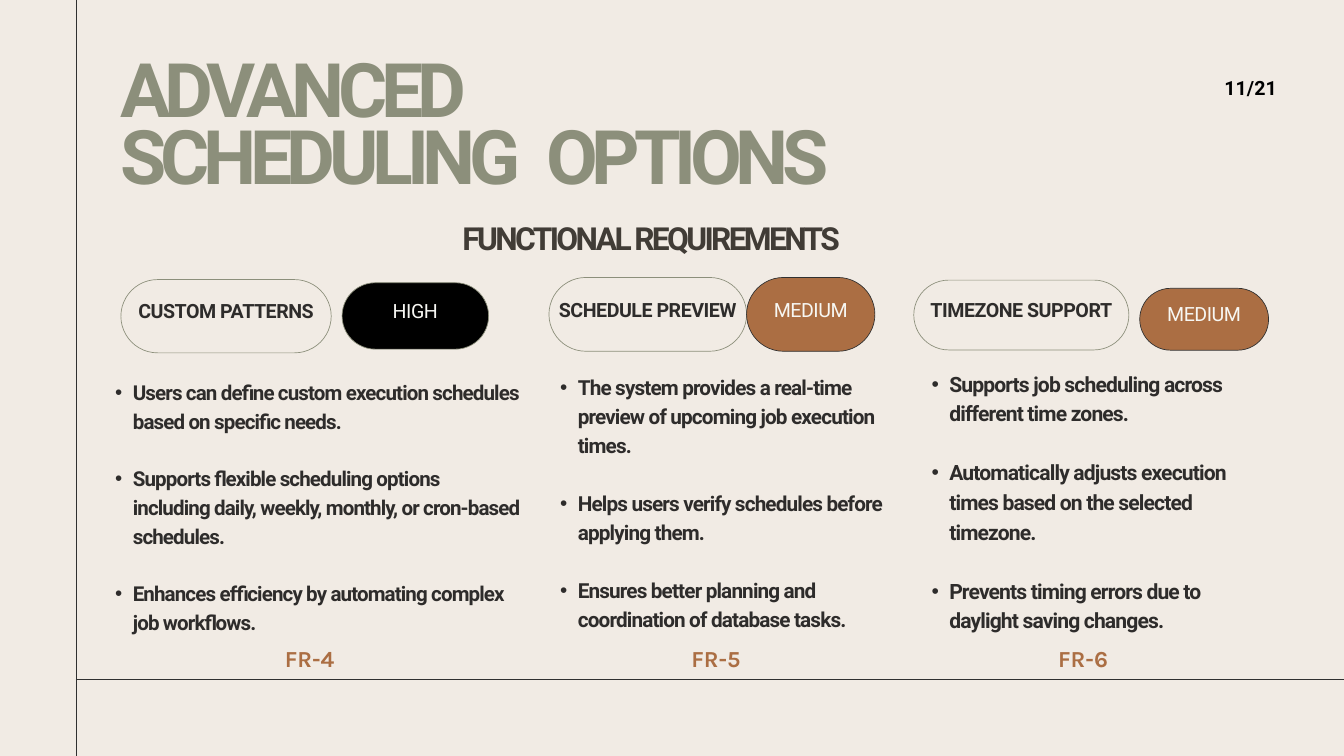
import pptx
import pptx.dml.color
import pptx.enum.shapes
import pptx.enum.text
import pptx.util
from lxml import etree
from pptx.oxml.ns import qn

Cm = pptx.util.Cm
Pt = pptx.util.Pt
ALIGN = pptx.enum.text.PP_ALIGN
ANCHOR = pptx.enum.text.MSO_ANCHOR

WIDTH, HEIGHT = 50.8, 28.58
CREAM, SAGE, GRAPHITE, INK = "F1EBE4", "8C8F7B", "303030", "2E2C2B"
BROWN, BLACK, OFF_WHITE, SUBTITLE = "AB6E43", "000000", "F7F7F3", "413C36"

REQUIREMENTS = [
    {
        "code": "FR-4", "code_left": 10.72,
        "name": "CUSTOM PATTERNS", "name_box": (4.57, 10.57, 7.95, 2.77),
        "priority": "HIGH", "priority_box": (12.93, 10.69, 5.54, 2.51),
        "priority_fill": BLACK, "priority_line": SAGE,
        "list_box": (3.68, 14.2, 15.98, 10.64), "size": 22, "line_spacing": 30.8,
        "items": [
            "Users can define custom execution schedules based on specific needs.",
            "Supports flexible scheduling options including daily, weekly, monthly, or cron-based schedules.",
            "Enhances efficiency by automating complex job workflows.",
        ],
    },
    {
        "code": "FR-5", "code_left": 26.08,
        "name": "SCHEDULE PREVIEW", "name_box": (20.75, 10.49, 7.47, 2.79),
        "priority": "MEDIUM", "priority_box": (28.22, 10.49, 4.85, 2.79),
        "priority_fill": BROWN, "priority_line": GRAPHITE,
        "list_box": (20.5, 14, 13.11, 11.89), "size": 22.2, "line_spacing": 31.1,
        "items": [
            "The system provides a real-time preview of upcoming job execution times.",
            "Helps users verify schedules before applying them.",
            "Ensures better planning and coordination of database tasks.",
        ],
    },
    {
        "code": "FR-6", "code_left": 39.96,
        "name": "TIMEZONE SUPPORT", "name_box": (34.54, 10.59, 8.13, 2.64),
        "priority": "MEDIUM", "priority_box": (43.08, 10.9, 4.87, 2.34),
        "priority_fill": BROWN, "priority_line": GRAPHITE,
        "list_box": (34.54, 13.87, 13.39, 11.02), "size": 22.6, "line_spacing": 31.7,
        "items": [
            "Supports job scheduling across different time zones.",
            "Automatically adjusts execution times based on the selected timezone.",
            "Prevents timing errors due to daylight saving changes.",
        ],
    },
]


def color(hex_value):
    return pptx.dml.color.RGBColor.from_string(hex_value)


def write_text(shape, *texts, size, fill, line_spacing, bold=True, font="Roboto",
               align=ALIGN.LEFT, anchor=ANCHOR.TOP, spacing=0, word_spacing=None,
               gap=0, bullet=False, wrap=True, bottom=0):
    frame = shape.text_frame
    frame.auto_size = pptx.enum.text.MSO_AUTO_SIZE.NONE
    frame.word_wrap = wrap
    frame.vertical_anchor = anchor
    frame.margin_left = frame.margin_top = frame.margin_right = 0
    frame.margin_bottom = Cm(bottom)
    for index, text in enumerate(texts):
        paragraph = frame.add_paragraph() if index else frame.paragraphs[0]
        paragraph.alignment = align
        paragraph.line_spacing = Pt(line_spacing)
        paragraph.space_before = Pt(gap if index else 0)
        paragraph.space_after = Pt(0)
        if bullet:
            properties = paragraph._p.get_or_add_pPr()
            properties.set("marL", str(Cm(1.34)))
            properties.set("indent", str(Cm(-0.67)))
            etree.SubElement(properties, qn("a:buChar")).set("char", "•")
        pieces = (text,) if word_spacing is None else text.partition(" ")
        for piece in filter(None, pieces):
            run = paragraph.add_run()
            run.text = piece
            run.font.name = font
            run.font.size = Pt(size)
            run.font.bold = bold
            run.font.color.rgb = color(fill)
            tracking = word_spacing if piece == " " else spacing
            run._r.get_or_add_rPr().set("spc", str(round(tracking * 100)))


class SlideBuilder:
    pill_style = dict(size=21, line_spacing=29.4, spacing=-0.5, align=ALIGN.CENTER,
                      anchor=ANCHOR.MIDDLE, wrap=False, bottom=0.54)

    def __init__(self, presentation):
        self.slide = presentation.slides.add_slide(presentation.slide_layouts[4])
        self.slide.background.fill.solid()
        self.slide.background.fill.fore_color.rgb = color(CREAM)

    def line(self, *ends):
        connector = self.slide.shapes.add_connector(
            pptx.enum.shapes.MSO_CONNECTOR.STRAIGHT, *map(Cm, ends))
        connector.line.color.rgb = color(GRAPHITE)
        connector.line.width = Pt(0.75)
        etree.SubElement(connector._element.spPr, qn("a:effectLst"))

    def placeholder(self, index, box, *texts, **style):
        shape = self.slide.placeholders[index]
        shape.left, shape.top, shape.width, shape.height = map(Cm, box)
        write_text(shape, *texts, **style)

    def label(self, box, text, **style):
        write_text(self.slide.shapes.add_textbox(*map(Cm, box)), text, **style)

    def pill(self, box, text, outline, text_fill, fill=None, bold=True):
        shape = self.slide.shapes.add_shape(
            pptx.enum.shapes.MSO_SHAPE.ROUNDED_RECTANGLE, *map(Cm, box))
        shape.adjustments[0] = 0.5
        shape.shadow.inherit = False
        if fill:
            shape.fill.solid()
            shape.fill.fore_color.rgb = color(fill)
        else:
            shape.fill.background()
        shape.line.color.rgb = color(outline)
        shape.line.width = Pt(0.75)
        write_text(shape, text, fill=text_fill, bold=bold, **self.pill_style)

    def requirement(self, index, item):
        self.pill(item["name_box"], item["name"], SAGE, INK)
        self.pill(item["priority_box"], item["priority"], item["priority_line"],
                  OFF_WHITE, item["priority_fill"], bold=False)
        self.placeholder(index, item["list_box"], *item["items"], size=item["size"],
                         fill=INK, line_spacing=item["line_spacing"],
                         gap=item["line_spacing"], spacing=-0.9, bullet=True)
        self.label((item["code_left"], 24.21, 1.96, 1.12), item["code"], size=24.6,
                   fill=BROWN, font="Karla", line_spacing=34.4,
                   align=ALIGN.CENTER, wrap=False)


def main():
    presentation = pptx.Presentation()
    presentation.slide_width, presentation.slide_height = Cm(WIDTH), Cm(HEIGHT)
    builder = SlideBuilder(presentation)
    builder.line(2.87, 0, 2.87, HEIGHT)
    builder.line(2.87, 25.68, WIDTH, 25.68)
    builder.placeholder(0, (4.55, 2.44, 38.46, 5.31), "ADVANCED", "SCHEDULING OPTIONS",
                        size=80.5, fill=SAGE, line_spacing=72.5, spacing=-6.6,
                        word_spacing=6.8)
    builder.placeholder(3, (17.48, 8.81, 32.97, 1.02), "FUNCTIONAL REQUIREMENTS",
                        size=34, fill=SUBTITLE, line_spacing=25.5, spacing=-2.8)
    for index, item in zip((1, 2, 4), REQUIREMENTS):
        builder.requirement(index, item)
    builder.label((40.26, 2.72, 8, 1.02), "11/21", size=21, fill=BLACK,
                  line_spacing=29.4, align=ALIGN.RIGHT)
    presentation.save("out.pptx")


if __name__ == "__main__":
    main()
